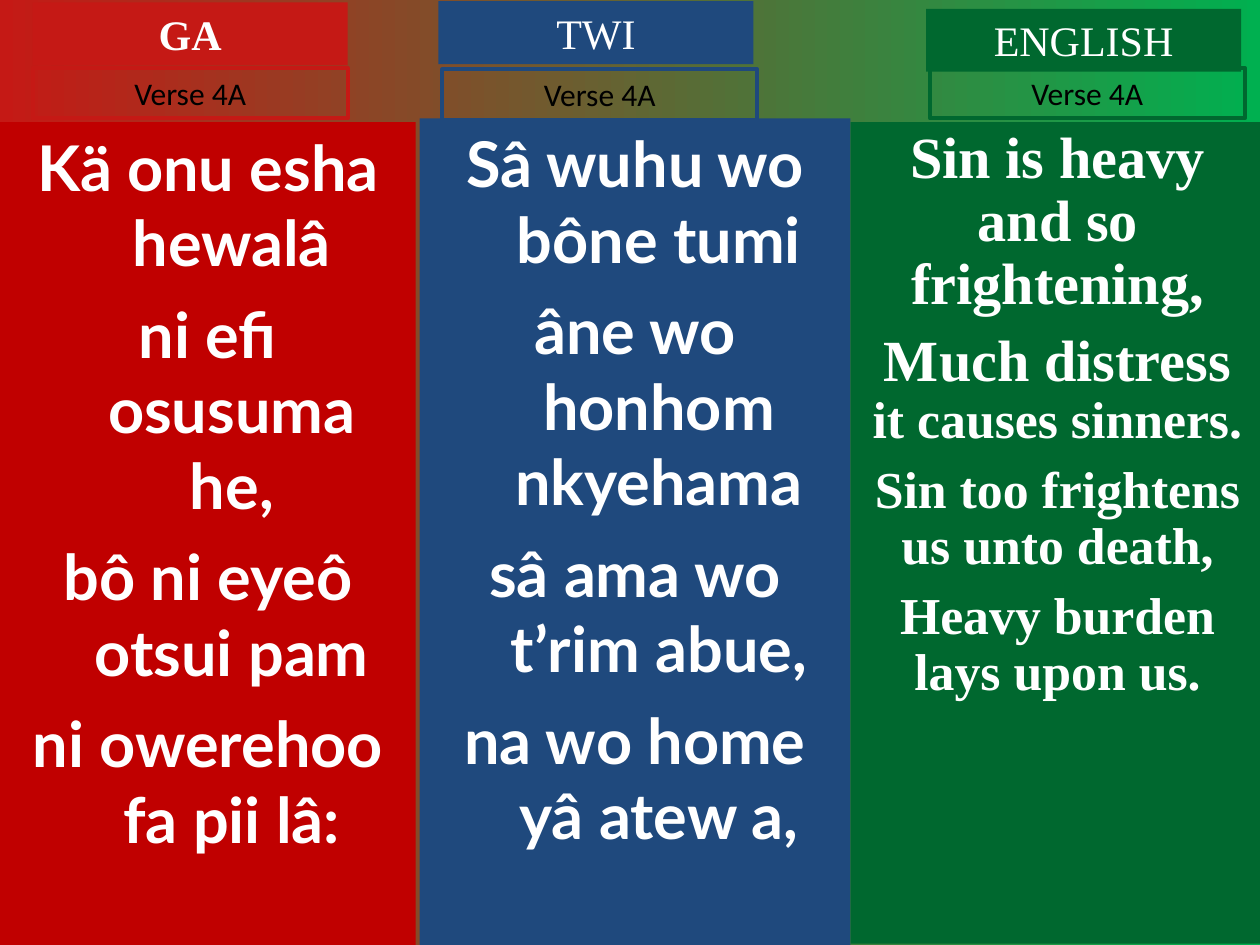
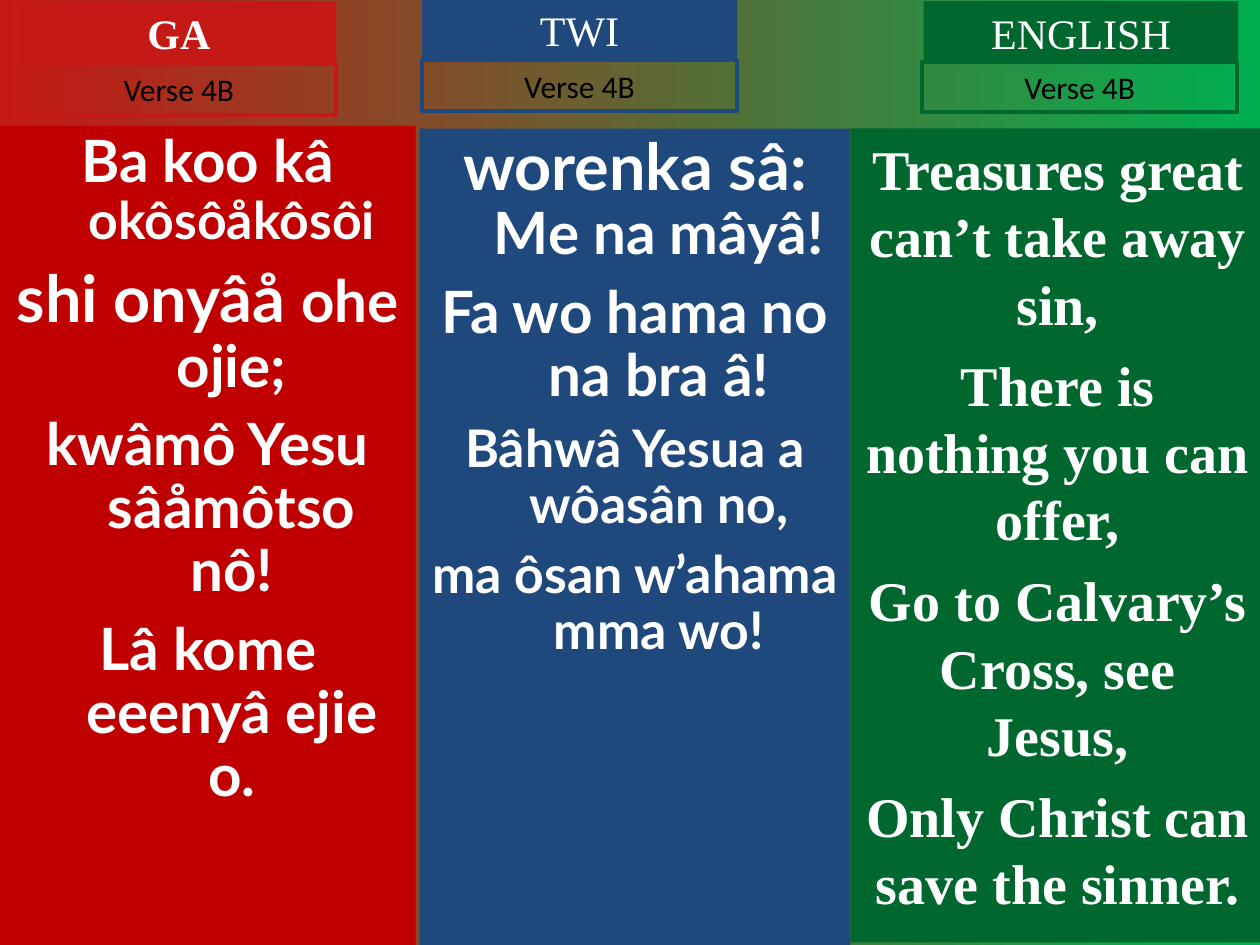
from pptx import Presentation
from pptx.dml.color import RGBColor
from pptx.enum.shapes import MSO_SHAPE
from pptx.enum.text import MSO_ANCHOR, MSO_AUTO_SIZE, PP_ALIGN
from pptx.util import Inches, Pt

RECT = MSO_SHAPE.RECTANGLE
TOP = MSO_ANCHOR.TOP
GROW = MSO_AUTO_SIZE.SHAPE_TO_FIT_TEXT
CENTER = PP_ALIGN.CENTER

HEX = {"ga": "C00000", "twi": "1F497D", "eng": "00682F",
       "red": "C51915", "green": "00B050", "white": "FFFFFF", "black": "000000"}
RGB = {name: RGBColor.from_string(code) for name, code in HEX.items()}
SERIF, SANS, PLAIN = "Times New Roman", "Lato", "Calibri"

prs = Presentation()
prs.slide_width, prs.slide_height = Inches(10), Inches(7.5)
UNIT = prs.slide_width // 1000
ROWS = 750
HANG = 38 * UNIT

back = prs.slide_master.background.fill
back.gradient()
back.gradient_angle = 0
for stop, tone in zip(back.gradient_stops, ("red", "green")):
    stop.color.rgb = RGB[tone]


def add_box(slide, x, y, w, h, fill=None, line=None):
    box = slide.shapes.add_shape(RECT, *(n * UNIT for n in (x, y, w, h)))
    box.shadow.inherit = False
    if fill:
        box.fill.solid()
        box.fill.fore_color.rgb = RGB[fill]
    else:
        box.fill.background()
    if line:
        box.line.color.rgb = RGB[line]
        box.line.width = Pt(2.25)
    else:
        box.line.fill.background()
    frame = box.text_frame
    frame.word_wrap = True
    frame.vertical_anchor = TOP
    return frame


def add_text(para, runs, face, tone, bold):
    for text, size in runs:
        run = para.add_run()
        run.text = text
        if len(runs) > 1:
            run.font.size = Pt(size)
    para.alignment = CENTER
    font = para.font
    font.name, font.bold, font.color.rgb = face, bold, RGB[tone]
    if len(runs) == 1:
        font.size = Pt(runs[0][1])


COLS = [
    ("GA", "ga", "red", SANS, True, 0, 330),
    ("TWI", "twi", "twi", SANS, False, 333, 342),
    ("ENGLISH", "eng", "eng", SERIF, False, 675, 329),
]

SLIDES = [
    ("Verse 4A", [
        ((97, 653), (26, 2), (26, 54), 1, [
            [("Kä onu esha hewalâ", 36)],
            [("ni efi osusuma he,", 36)],
            [("bô ni eyeô otsui pam", 36)],
            [("ni owerehoo fa pii lâ:", 36)]]),
        ((94, 656), (348, 1), (351, 55), 1, [
            [("Sâ wuhu wo bône tumi", 36)],
            [("âne wo honhom nkyehama", 36)],
            [("sâ ama wo t’rim abue,", 36)],
            [("na wo home yâ atew a,", 36)]]),
        ((97, 652), (735, 7), (738, 54), 0.9, [
            [("Sin is heavy and so frightening,", 33.3)],
            [("Much distress ", 33.3), ("it causes sinners.", 29.6)],
            [("Sin too frightens us unto death,", 29.6)],
            [("Heavy burden lays upon us.", 29.6)]]),
    ]),
    ("Verse 4B", [
        ((100, 650), (17, 1), (17, 51), 0.9, [
            [("Ba koo kâ ", 33.3), ("okôsôåkôsôi", 29.6)],
            [("shi onyâå ", 37), ("ohe ojie;", 33.3)],
            [("kwâmô Yesu sâåmôtso nô!", 33.3)],
            [("Lâ kome eeenyâ ejie o.", 33.3)]]),
        ((102, 648), (335, -1), (335, 48), 0.9, [
            [("worenka sâ: ", 37), ("Me na mâyâ!", 33.3)],
            [("Fa wo hama no na bra â!", 33.3)],
            [("Bâhwâ Yesua a wôasân no,", 29.6)],
            [("ma ôsan w’ahama mma wo!", 29.6)]]),
        ((102, 646), (733, 1), (732, 49), 1, [
            [("Treasures great can’t take away sin,", 32)],
            [("There is nothing you can offer,", 32)],
            [("Go to Calvary’s Cross, see Jesus,", 32)],
            [("Only Christ can save the sinner.", 32)]]),
    ]),
]

for verse, parts in SLIDES:
    slide = prs.slides.add_slide(prs.slide_layouts[6])
    for col, part in zip(COLS, parts):
        name, fill, tone, face, bold, x, w = col
        (y, h), head, tag, lead, lines = part

        frame = add_box(slide, x, y, w, h, fill=fill)
        for i, runs in enumerate(lines):
            para = frame.add_paragraph() if i else frame.paragraphs[0]
            if face == SANS:
                props = para._p.get_or_add_pPr()
                props.set("marL", str(HANG))
                props.set("indent", str(-HANG))
            para.line_spacing = lead
            if i:
                para.space_before = Pt(9 if runs[-1][1] > 33 else 8)
            add_text(para, runs, face, "white", True)

        frame = add_box(slide, *head, 250, 50, fill=tone)
        frame.auto_size = GROW
        add_text(frame.paragraphs[0], [(name, 24)], SERIF, "white", bold)

        frame = add_box(slide, *tag, 250, 40, line=tone)
        frame.auto_size = GROW
        add_text(frame.paragraphs[0], [(verse, 18)], PLAIN, "black", False)

prs.save("out.pptx")
